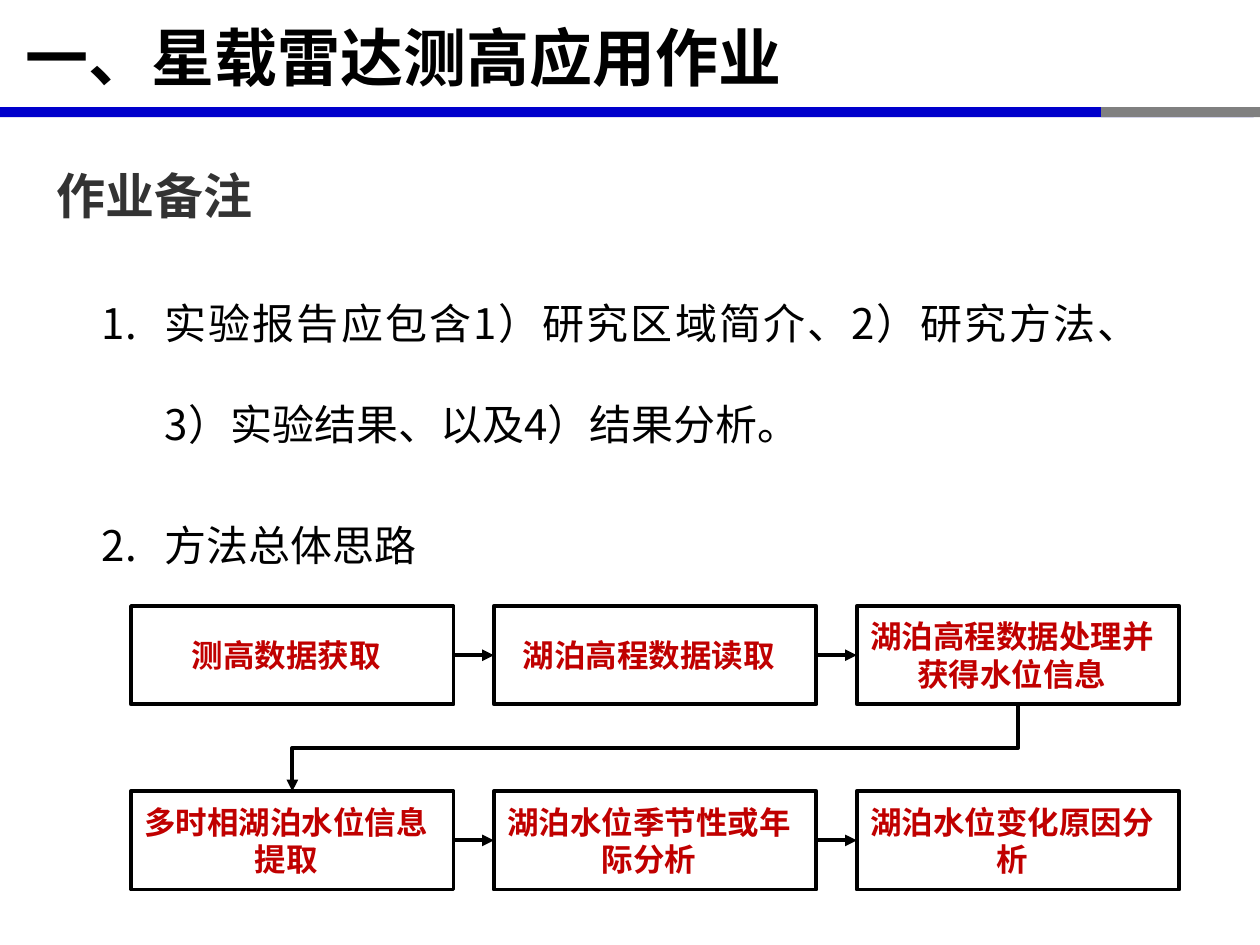
from pptx import Presentation
from pptx.dml.color import RGBColor
from pptx.enum.shapes import MSO_CONNECTOR, MSO_SHAPE
from pptx.enum.text import MSO_ANCHOR, MSO_AUTO_SIZE, PP_ALIGN
from pptx.oxml.ns import qn
from pptx.util import Inches, Pt
from lxml import etree

RECTANGLE = MSO_SHAPE.RECTANGLE
STRAIGHT, ELBOW = MSO_CONNECTOR.STRAIGHT, MSO_CONNECTOR.ELBOW
LEFT, CENTER, JUSTIFY = PP_ALIGN.LEFT, PP_ALIGN.CENTER, PP_ALIGN.JUSTIFY
MIDDLE = MSO_ANCHOR.MIDDLE
NO_FIT, GROW = MSO_AUTO_SIZE.NONE, MSO_AUTO_SIZE.SHAPE_TO_FIT_TEXT
LEFT_SIDE, RIGHT_SIDE = 1, 3


def color(value):
    return RGBColor.from_string(value)


class SlideBuilder:
    font = "Noto Sans CJK SC"
    black, white, red = "000000", "FFFFFF", "C00000"
    line_width = Pt(2.25)

    def __init__(self, page):
        self.page = page

    def add_text(self, para, text, size, hue, bold=False, align=LEFT):
        para.alignment = align
        span = para.add_run()
        span.text = text
        span.font.size = Pt(size)
        span.font.bold = bold
        span.font.name = self.font
        span.font.color.rgb = color(hue)
        east_asian = etree.SubElement(span.font._element, qn("a:ea"))
        east_asian.set("typeface", self.font)

    def indent(self, para, margin, first_line):
        properties = para._p.get_or_add_pPr()
        properties.set("marL", str(Inches(margin)))
        properties.set("indent", str(Inches(first_line)))
        return properties

    def title(self, text, left, top, width, height):
        box = self.page.shapes.title
        box.left, box.top = Inches(left), Inches(top)
        box.width, box.height = Inches(width), Inches(height)
        frame = box.text_frame
        frame.auto_size = NO_FIT
        frame.vertical_anchor = MIDDLE
        para = frame.paragraphs[0]
        self.add_text(para, text, 36, self.black, bold=True)
        self.indent(para, 0, 0.1)

    def bar(self, left, top, width, height, fill):
        shape = self.page.shapes.add_shape(
            RECTANGLE, Inches(left), Inches(top), Inches(width), Inches(height))
        shape.shadow.inherit = False
        shape.fill.solid()
        shape.fill.fore_color.rgb = color(fill)
        shape.line.fill.background()
        return shape

    def text_frame(self, left, top, width, height):
        box = self.page.shapes.add_textbox(
            Inches(left), Inches(top), Inches(width), Inches(height))
        frame = box.text_frame
        frame.word_wrap = True
        frame.auto_size = GROW
        return frame

    def heading(self, text, left, top, width, height):
        para = self.text_frame(left, top, width, height).paragraphs[0]
        para.line_spacing = 1.5
        self.add_text(para, text, 28, "333333", bold=True, align=JUSTIFY)

    def numbered_list(self, items, left, top, width, height):
        frame = self.text_frame(left, top, width, height)
        for index, item in enumerate(items):
            para = frame.add_paragraph() if index else frame.paragraphs[0]
            para.line_spacing = 2.0
            para.space_before = Pt(12)
            self.add_text(para, item, 24, self.black, align=JUSTIFY)
            properties = self.indent(para, 0.5, -0.5)
            number = etree.SubElement(properties, qn("a:buAutoNum"))
            number.set("type", "arabicPeriod")

    def step(self, text, left, top, width, height):
        box = self.bar(left, top, width, height, self.white)
        box.line.color.rgb = color(self.black)
        box.line.width = self.line_width
        frame = box.text_frame
        frame.word_wrap = True
        frame.vertical_anchor = MIDDLE
        frame.margin_left, frame.margin_right = 0, Inches(0.1)
        frame.margin_top = frame.margin_bottom = Inches(0.05)
        self.add_text(frame.paragraphs[0], text, 18, self.red, bold=True, align=CENTER)
        return box

    def arrow(self, kind, *ends):
        connector = self.page.shapes.add_connector(kind, *ends)
        connector.line.color.rgb = color(self.black)
        connector.line.width = self.line_width
        properties = connector._element.spPr
        head = etree.SubElement(properties.find(qn("a:ln")), qn("a:tailEnd"))
        head.set("type", "triangle")
        etree.SubElement(properties, qn("a:effectLst"))
        return connector

    def arrow_across(self, source, target):
        connector = self.arrow(STRAIGHT, 0, 0, 0, 0)
        connector.begin_connect(source, RIGHT_SIDE)
        connector.end_connect(target, LEFT_SIDE)

    def arrow_to_next_row(self, source, target):
        # A quarter turn makes the elbow leave downwards
        start_x = source.left + source.width // 2
        end_x = target.left + target.width // 2
        start_y, end_y = source.top + source.height, target.top
        middle_x, middle_y = (start_x + end_x) // 2, (start_y + end_y) // 2
        half_drop, half_run = (end_y - start_y) // 2, (start_x - end_x) // 2
        connector = self.arrow(
            ELBOW, middle_x - half_drop, middle_y - half_run,
            middle_x + half_drop, middle_y + half_run)
        connector._element.spPr.find(qn("a:xfrm")).set("rot", str(90 * 60000))


def main():
    deck = Presentation()
    deck.slide_width, deck.slide_height = Inches(10), Inches(7.5)
    title_only = deck.slide_layouts[5]
    builder = SlideBuilder(deck.slides.add_slide(title_only))

    # Title and the two-coloured rule below it
    builder.bar(0, 0.85, 9.95, 0.08, "0000CC")
    builder.bar(8.74, 0.85, 1.26, 0.08, "808080")
    builder.title("一、星载雷达测高应用作业", 0, 0.01, 9.86, 0.87)

    # Notes on the assignment
    builder.numbered_list(
        ["实验报告应包含1）研究区域简介、2）研究方法、3）实验结果、以及4）结果分析。",
         "方法总体思路"],
        0.71, 1.91, 8.43, 2.57)
    builder.heading("作业备注", 0.35, 1.03, 9.31, 0.72)

    # Flow chart: two rows of three steps
    step_rows = [
        ["测高数据获取", "湖泊高程数据读取", "湖泊高程数据处理并获得水位信息"],
        ["多时相湖泊水位信息提取", "湖泊水位季节性或年际分析", "湖泊水位变化原因分析"],
    ]
    boxes = [
        [builder.step(text, 1.04 + 2.88 * column, 4.81 + 1.47 * row, 2.56, 0.78)
         for column, text in enumerate(texts)]
        for row, texts in enumerate(step_rows)
    ]
    for row in boxes:
        for source, target in zip(row, row[1:]):
            builder.arrow_across(source, target)
    builder.arrow_to_next_row(boxes[0][-1], boxes[1][0])

    deck.save("out.pptx")


if __name__ == "__main__":
    main()
